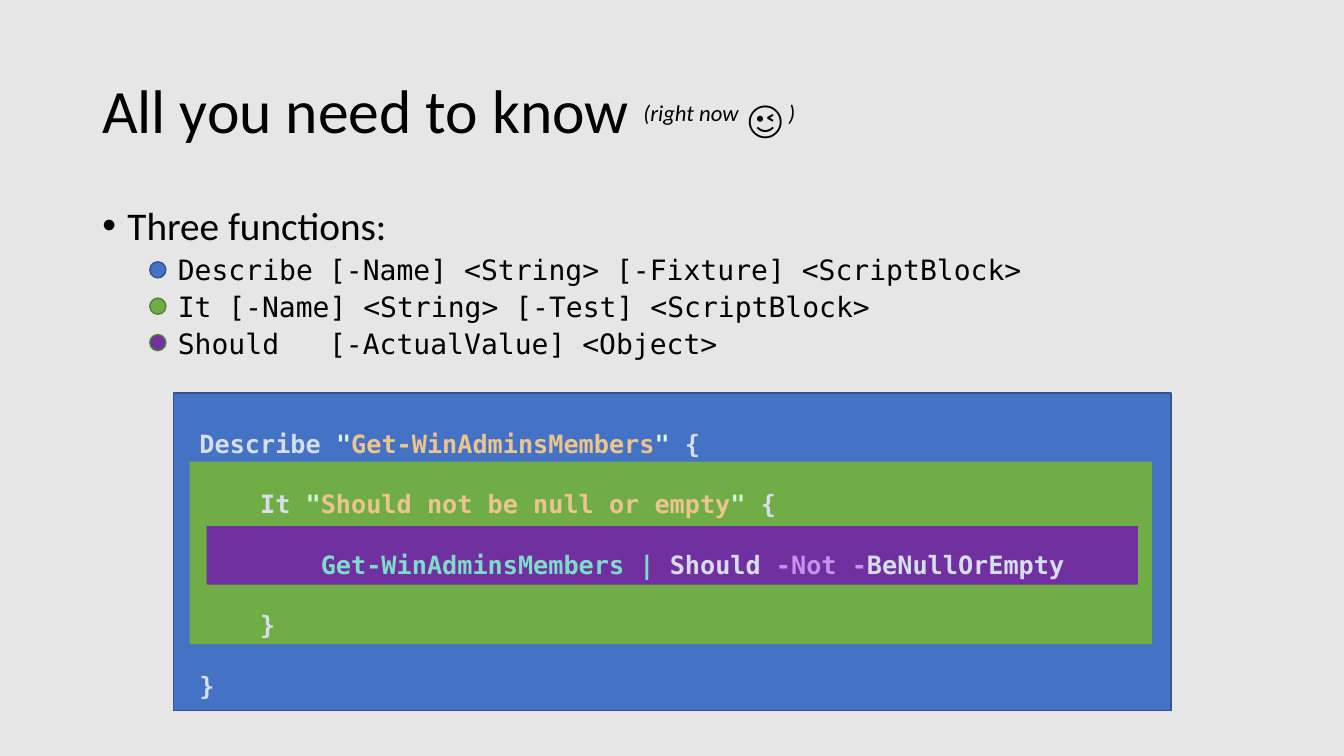
from dataclasses import dataclass

from lxml import etree
from pptx import Presentation
from pptx.dml.color import RGBColor
from pptx.enum import shapes, text
from pptx.oxml.ns import qn
from pptx.util import Pt

SANS, MONO = "Calibri", "DejaVu Sans Mono"
BLACK, BLUE, GREEN, PURPLE = "000000", "4472C4", "70AD47", "7030A0"
BLUE_EDGE, GREEN_EDGE = "325491", "538035"
CODE, QUOTE, STRING, COMMAND, OPERATOR = "D6DEEB", "D9F5DD", "ECC48D", "7FDBCA", "C792EA"


@dataclass
class Run:
    text: str
    size: float
    color: str = BLACK
    font: str = SANS
    bold: bool = False
    italic: bool = False
    raised: bool = False


@dataclass
class Block:
    left: float
    top: float
    width: float
    height: float
    fill: str
    edge: str | None = None
    kind: int = shapes.MSO_SHAPE.RECTANGLE


@dataclass
class Function:
    name: str
    parameters: str
    fill: str
    edge: str


FUNCTIONS = [
    Function("Describe", "[-Name] <String> [-Fixture] <ScriptBlock>", BLUE, BLUE_EDGE),
    Function("It", "[-Name] <String> [-Test] <ScriptBlock>", GREEN, GREEN_EDGE),
    Function("Should", "[-ActualValue] <Object>", PURPLE, GREEN_EDGE),
]
SCOPES = [
    Block(123.8, 280.8, 712.8, 226.8, BLUE, BLUE_EDGE),
    Block(135.4, 329.8, 687.6, 130.3, GREEN),
    Block(147.6, 375.8, 665.3, 41.8, PURPLE),
]
CODE_LINES = [
    [("Describe ", CODE), ('"', QUOTE), ("Get-WinAdminsMembers", STRING),
     ('"', QUOTE), (" {", CODE)],
    [("    It ", CODE), ('"', QUOTE), ("Should not be null or empty", STRING),
     ('"', QUOTE), (" {", CODE)],
    [("        ", CODE), ("Get-WinAdminsMembers |", COMMAND), (" Should ", CODE),
     ("-Not -", OPERATOR), ("BeNullOrEmpty", CODE)],
    [("    }", CODE)],
    [("}", CODE)],
]
TITLE = [
    Run("All you need to know ", 44),
    Run("(right now", 28, italic=True, raised=True),
    Run(" 😉", 28),
    Run(" )", 28, italic=True, raised=True),
]


def rgb(color: str) -> RGBColor:
    return RGBColor.from_string(color)


def add_block(s, block: Block) -> None:
    sp = s.shapes.add_shape(block.kind, Pt(block.left), Pt(block.top),
                            Pt(block.width), Pt(block.height))
    sp.shadow.inherit = False
    sp.fill.solid()
    sp.fill.fore_color.rgb = rgb(block.fill)
    if block.edge:
        sp.line.color.rgb = rgb(block.edge)
        sp.line.width = Pt(1)
    else:
        sp.line.fill.background()


def add_text_frame(s, left: float, top: float, width: float, height: float):
    tf = s.shapes.add_textbox(Pt(left), Pt(top), Pt(width), Pt(height)).text_frame
    tf.word_wrap = True
    return tf


def add_paragraph(tf, runs: list[Run], spacing: float, before: float = 0):
    """Fill the empty first paragraph, or append a new one."""
    p = tf.paragraphs[0]
    if p.runs:
        p = tf.add_paragraph()
        p.space_before = Pt(before)
    p.line_spacing = spacing
    for run in runs:
        r = p.add_run()
        r.text = run.text
        r.font.name = run.font
        r.font.size = Pt(run.size)
        r.font.bold = run.bold
        r.font.italic = run.italic
        r.font.color.rgb = rgb(run.color)
        if run.raised:
            r.font._element.set("baseline", "30000")
    return p


def indent(p, margin: float, first: float = 0, bullet: str = "", tab: float = 0) -> None:
    pPr = p._p.get_or_add_pPr()
    pPr.set("marL", str(Pt(margin)))
    pPr.set("indent", str(Pt(first)))
    if bullet:
        etree.SubElement(pPr, qn("a:buFont"), typeface="Arial")
        etree.SubElement(pPr, qn("a:buChar"), char=bullet)
    if tab:
        tabs = etree.SubElement(pPr, qn("a:tabLst"))
        etree.SubElement(tabs, qn("a:tab"), pos=str(Pt(tab)), algn="l")


def main() -> None:
    prs = Presentation()
    prs.slide_width, prs.slide_height = Pt(960), Pt(540)
    s = prs.slides.add_slide(prs.slide_layouts[6])
    s.background.fill.solid()
    s.background.fill.fore_color.rgb = rgb("E7E6E6")

    title = add_text_frame(s, 66, 28.8, 828, 104.4)
    title.vertical_anchor = text.MSO_ANCHOR.MIDDLE
    add_paragraph(title, TITLE, 0.9)

    body = add_text_frame(s, 66, 144, 828, 126)
    heading = add_paragraph(body, [Run("Three functions:", 28)], 0.9)
    indent(heading, 18, -18, "•")
    for i, function in enumerate(FUNCTIONS):
        signature = Run(f"{function.name}\t{function.parameters}", 20, font=MONO)
        indent(add_paragraph(body, [signature], 0.9, 5), 54, tab=162.4)
        add_block(s, Block(107, 187 + 26 * i, 11.5, 11.5, function.fill, function.edge,
                           shapes.MSO_SHAPE.OVAL))

    for scope in SCOPES:
        add_block(s, scope)
    code = add_text_frame(s, 135.4, 280.8, 665.3, 218.9)
    for line in CODE_LINES:
        add_paragraph(code, [Run(part, 18, color, MONO, bold=True) for part, color in line], 2)

    prs.save("out.pptx")


if __name__ == "__main__":
    main()
